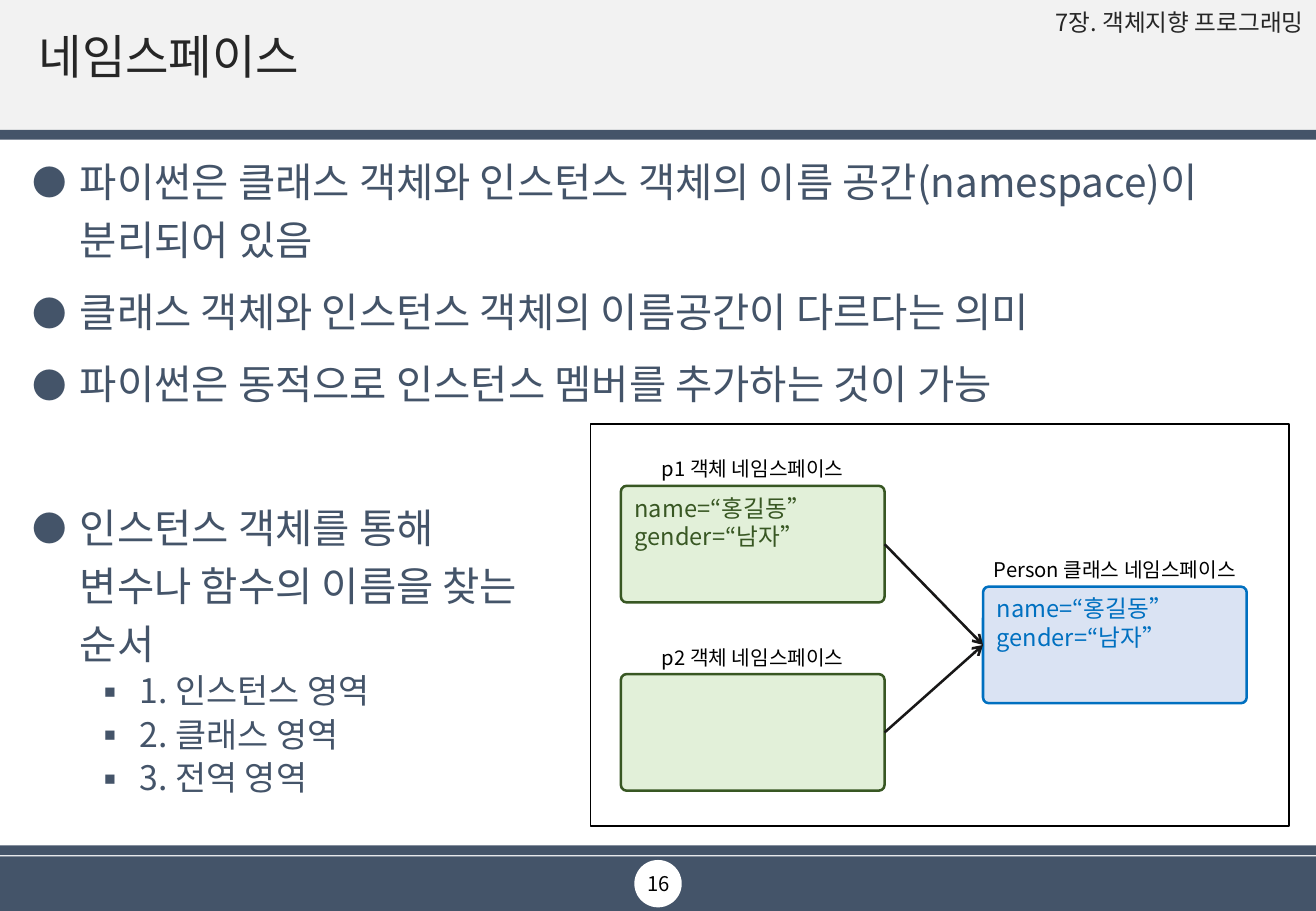
from lxml.etree import SubElement
from pptx import Presentation
from pptx.dml.color import RGBColor
from pptx.enum.shapes import MSO_CONNECTOR, MSO_SHAPE as Shape
from pptx.enum.text import MSO_ANCHOR as Anchor, PP_ALIGN as Align
from pptx.oxml.ns import qn
from pptx.util import Inches, Pt

FONT = "Noto Sans CJK KR"
NAVY, DARK, BLACK, WHITE = "445469", "262626", "000000", "FFFFFF"

# Content
TITLE = "네임스페이스"
CHAPTER = "7장. 객체지향 프로그래밍"
PAGE_NUMBER = "16"
# Each bullet: text, level, space before in points
BULLETS = [
    ("파이썬은 클래스 객체와 인스턴스 객체의 이름 공간(namespace)이 분리되어 있음", 0, 8.1),
    ("클래스 객체와 인스턴스 객체의 이름공간이 다르다는 의미", 0, 8.1),
    ("파이썬은 동적으로 인스턴스 멤버를 추가하는 것이 가능", 0, 8.1),
    ("인스턴스 객체를 통해\n변수나 함수의 이름을 찾는\n순서", 0, 50.7),
    ("1. 인스턴스 영역", 1, 4.1),
    ("2. 클래스 영역", 1, 4.1),
    ("3. 전역 영역", 1, 4.1),
]
# Per level: size, line spacing, left indent, hanging indent, mark, mark size in %
LEVELS = [(24, 1.2, 0.39, 0.39, "●", 85), (20, 0.9, 0.88, 0.38, "▪", 100)]

MEMBERS = "name=“홍길동”\ngender=“남자”"
GREEN, BLUE = ("E2F0D9", "385723"), ("DAE3F3", "0070C0")
# Each namespace: caption, members, left, top, colours
PERSON = ("Person 클래스 네임스페이스", MEMBERS, 8.09, 4.83, BLUE)
INSTANCES = [
    ("p1 객체 네임스페이스", MEMBERS, 5.11, 4.0, GREEN),
    ("p2 객체 네임스페이스", "", 5.11, 5.55, GREEN),
]
CARD_WIDTH, CARD_HEIGHT = 2.17, 0.96

deck = Presentation()
deck.slide_width, deck.slide_height = Inches(10.83), Inches(7.5)
page = deck.slides.add_slide(deck.slide_layouts[6])


def color(value):
    return RGBColor.from_string(value)


def add_block(kind, left, top, width, height, fill, line=None, weight=1):
    block = page.shapes.add_shape(
        kind, Inches(left), Inches(top), Inches(width), Inches(height))
    block.shadow.inherit = False
    block.fill.solid()
    block.fill.fore_color.rgb = color(fill)
    if line:
        block.line.color.rgb = color(line)
        block.line.width = Pt(weight)
    else:
        block.line.fill.background()
    return block


def add_box(left, top, width, height, anchor=Anchor.TOP, inset=None):
    box = page.shapes.add_textbox(
        Inches(left), Inches(top), Inches(width), Inches(height))
    frame = box.text_frame
    frame.word_wrap = True
    frame.vertical_anchor = anchor
    if inset is not None:
        frame.margin_left = frame.margin_right = Inches(inset)
        frame.margin_top = frame.margin_bottom = Inches(inset)
    return frame


def write(para, text, size, ink, align=Align.LEFT, spacing=None, before=None):
    para.alignment = align
    if spacing:
        para.line_spacing = spacing
    if before is not None:
        para.space_before = Pt(before)
    for index, part in enumerate(text.split("\n")):
        if index:
            para.add_line_break()
        span = para.add_run()
        span.text = part
        span.font.size = Pt(size)
        span.font.color.rgb = color(ink)
        span.font.name = FONT
        SubElement(span.font._element, qn("a:ea"), typeface=FONT)


def add_bullet(para, left, hanging, mark, percent):
    props = para._p.get_or_add_pPr()
    props.set("marL", str(Inches(left)))
    props.set("indent", str(-Inches(hanging)))
    SubElement(props, qn("a:buSzPct"), val=str(percent * 1000))
    SubElement(props, qn("a:buFont"), typeface=FONT)
    SubElement(props, qn("a:buChar"), char=mark)


def add_namespace(caption, members, left, top, colors):
    fill, ink = colors
    card = add_block(Shape.ROUNDED_RECTANGLE, left, top, CARD_WIDTH, CARD_HEIGHT,
                     fill, ink, 1.5)
    card.adjustments[0] = 0.05
    if members:
        frame = card.text_frame
        frame.vertical_anchor = Anchor.TOP
        for index, member in enumerate(members.split("\n")):
            para = frame.add_paragraph() if index else frame.paragraphs[0]
            write(para, member, 14, ink)
    label = add_box(left - 0.04, top - 0.29, CARD_WIDTH + 0.08, 0.3)
    write(label.paragraphs[0], caption, 12, BLACK, Align.CENTER)
    return card


def add_arrow(source, target):
    arrow = page.shapes.add_connector(MSO_CONNECTOR.STRAIGHT, 0, 0, 0, 0)
    arrow.begin_connect(source, 3)
    arrow.end_connect(target, 1)
    arrow.line.color.rgb = color("181717")
    arrow.line.width = Pt(1.5)
    SubElement(arrow.line._get_or_add_ln(), qn("a:tailEnd"), type="arrow")
    SubElement(arrow._element.spPr, qn("a:effectLst"))


# Header and footer bands
for top, height, fill in [(0, 1.07, "F2F2F2"), (1.07, 0.08, NAVY),
                          (6.96, 0.08, NAVY), (7.05, 0.45, NAVY)]:
    add_block(Shape.RECTANGLE, 0, top, 10.83, height, fill)
add_block(Shape.OVAL, 5.22, 7.08, 0.39, 0.39, WHITE)

# Chapter, title and page number
write(add_box(8.56, 0.05, 2.21, 0.29, inset=0.04).paragraphs[0],
      CHAPTER, 14, DARK, Align.RIGHT, 0.9, 8.1)
write(add_box(0.22, 0.21, 10.39, 0.55, Anchor.MIDDLE).paragraphs[0],
      TITLE, 28, DARK, spacing=0.9)
write(add_box(4.2, 7.08, 2.44, 0.39, Anchor.MIDDLE).paragraphs[0],
      PAGE_NUMBER, 12, BLACK, Align.CENTER)

# Bullets
body = add_box(0.17, 1.16, 10.44, 5.72)
for index, (text, level, before) in enumerate(BULLETS):
    size, spacing, *bullet = LEVELS[level]
    para = body.add_paragraph() if index else body.paragraphs[0]
    para.level = level
    write(para, text, size, NAVY, spacing=spacing, before=before)
    add_bullet(para, *bullet)

# Namespace diagram
add_block(Shape.RECTANGLE, 4.86, 3.49, 5.75, 3.31, WHITE, BLACK)
person = add_namespace(*PERSON)
for instance in INSTANCES:
    add_arrow(add_namespace(*instance), person)

deck.save("out.pptx")
